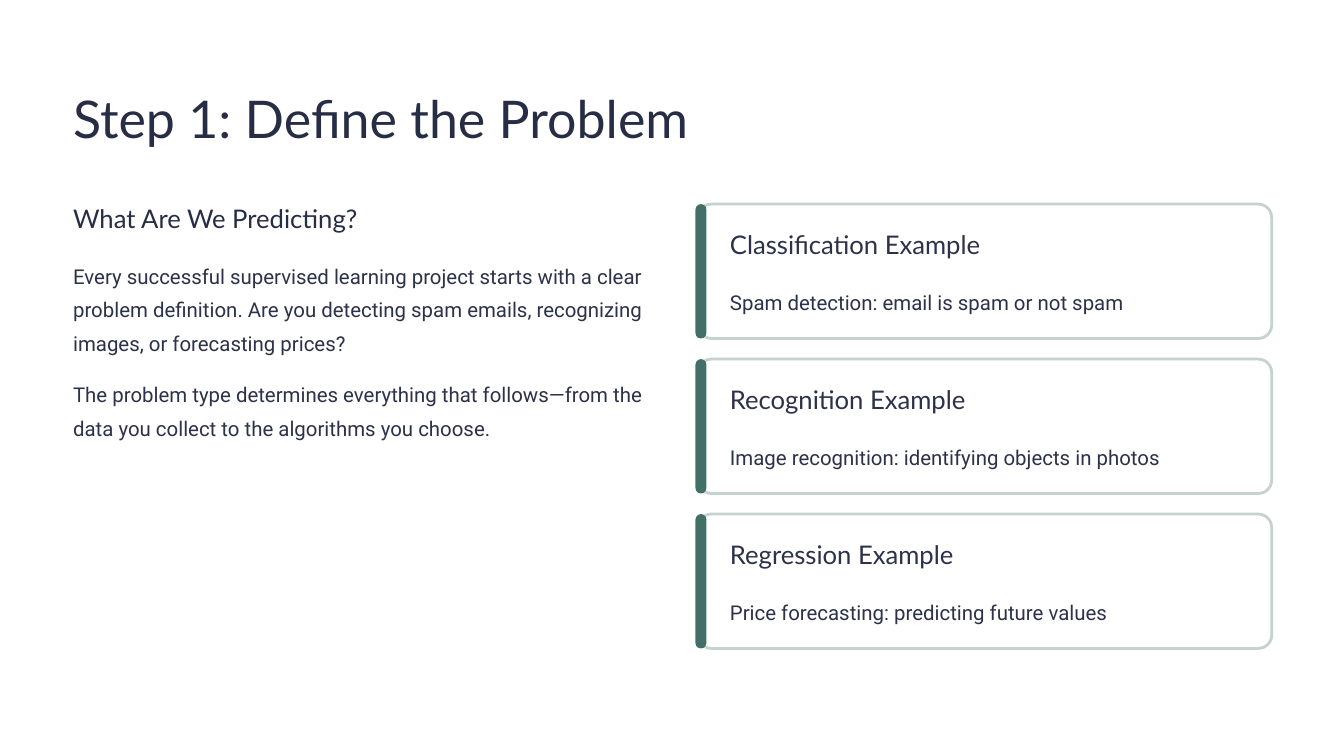
from dataclasses import dataclass

from lxml import etree
from pptx import Presentation
from pptx.dml.color import RGBColor
from pptx.enum.shapes import MSO_SHAPE
from pptx.enum.text import MSO_ANCHOR, MSO_AUTO_SIZE, PP_ALIGN
from pptx.oxml.ns import qn
from pptx.util import Inches, Pt

ROUNDED = MSO_SHAPE.ROUNDED_RECTANGLE
TOP, LEFT, NO_FIT = MSO_ANCHOR.TOP, PP_ALIGN.LEFT, MSO_AUTO_SIZE.NONE

TITLE = "Step 1: Define the Problem"
QUESTION = "What Are We Predicting?"
EXPLANATION = [
    "Every successful supervised learning project starts with a clear problem "
    "definition. Are you detecting spam emails, recognizing images, or "
    "forecasting prices?",
    "The problem type determines everything that follows—from the data you "
    "collect to the algorithms you choose.",
]
EXAMPLES = [
    ("Classification Example", "Spam detection: email is spam or not spam"),
    ("Recognition Example", "Image recognition: identifying objects in photos"),
    ("Regression Example", "Price forecasting: predicting future values"),
]


@dataclass(frozen=True)
class TextStyle:
    font: str
    size: float
    leading: float
    color: str


class Theme:
    title = TextStyle("Lato", 44.5, 55.5, "272D45")
    question = TextStyle("Lato", 22, 27.5, "272D45")
    card_heading = TextStyle("Lato", 22, 27.5, "2C3249")
    body = TextStyle("Roboto", 17.5, 28.5, "2C3249")
    paper = "FFFFFF"
    card_border = "C5D2CF"
    accent = "437066"
    border_width = 2.4
    paragraph_gap = 16


SLIDE_W, SLIDE_H = 16, 9
MARGIN = 0.87
TITLE_W = 8
COLUMN_W = 6.83
CARD_X, CARD_Y, CARD_H = 8.31, 2.43, 1.6
CARD_PITCH = CARD_H + 0.245
ACCENT_W, ACCENT_OVERHANG = 0.13, 0.03
CARD_PADDING = 0.38
HEADING_DROP, DETAIL_DROP = 0.28, 0.92


def place(shape, x, y, width, height):
    shape.left, shape.top = Inches(x), Inches(y)
    shape.width, shape.height = Inches(width), Inches(height)


def write(shape, paragraphs, style, wrap=False):
    frame = shape.text_frame
    frame.margin_left = frame.margin_right = 0
    frame.margin_top = frame.margin_bottom = 0
    frame.vertical_anchor, frame.auto_size = TOP, NO_FIT
    frame.word_wrap = wrap
    for index, text in enumerate(paragraphs):
        paragraph = frame.add_paragraph() if index else frame.paragraphs[0]
        paragraph.alignment = LEFT
        paragraph.line_spacing = Pt(style.leading)
        paragraph.space_before = Pt(Theme.paragraph_gap if index else 0)
        run = paragraph.add_run()
        run.text = text
        run.font.name, run.font.size = style.font, Pt(style.size)
        run.font.color.rgb = RGBColor.from_string(style.color)


def remove_bullets(shape):
    for paragraph in shape.text_frame.paragraphs:
        properties = paragraph._p.get_or_add_pPr()
        properties.set("marL", "0")
        properties.set("indent", "0")
        etree.SubElement(properties, qn("a:buNone"))


def add_label(slide, text, style, x, y, width, height):
    label = slide.shapes.add_textbox(
        Inches(x), Inches(y), Inches(width), Inches(height))
    write(label, [text], style)


def add_panel(slide, x, y, width, height, corner, fill, border=None):
    panel = slide.shapes.add_shape(
        ROUNDED, Inches(x), Inches(y), Inches(width), Inches(height))
    panel.adjustments[0] = corner
    panel.shadow.inherit = False
    panel.fill.solid()
    panel.fill.fore_color.rgb = RGBColor.from_string(fill)
    if border:
        panel.line.color.rgb = RGBColor.from_string(border)
        panel.line.width = Pt(Theme.border_width)
    else:
        panel.line.fill.background()


def add_card(slide, row, heading, detail):
    y = CARD_Y + row * CARD_PITCH
    text_x = CARD_X + CARD_PADDING
    add_panel(slide, CARD_X, y, COLUMN_W, CARD_H, 0.1,
              Theme.paper, Theme.card_border)
    add_panel(slide, CARD_X - ACCENT_OVERHANG, y, ACCENT_W, CARD_H, 0.5,
              Theme.accent)
    add_label(slide, heading, Theme.card_heading,
              text_x, y + HEADING_DROP, 3.1, 0.39)
    add_label(slide, detail, Theme.body, text_x, y + DETAIL_DROP, 6.17, 0.4)


def main():
    deck = Presentation()
    deck.slide_width, deck.slide_height = Inches(SLIDE_W), Inches(SLIDE_H)
    slide = deck.slides.add_slide(deck.slide_layouts.get_by_name("Title and Content"))
    slide.background.fill.solid()
    slide.background.fill.fore_color.rgb = RGBColor.from_string(Theme.paper)

    title, explanation = slide.placeholders
    place(title, MARGIN, 1.0, TITLE_W, 0.78)
    write(title, [TITLE], Theme.title, wrap=True)
    add_label(slide, QUESTION, Theme.question, MARGIN, 2.4, 3.35, 0.39)
    place(explanation, MARGIN, 3.04, COLUMN_W, 2.2)
    write(explanation, EXPLANATION, Theme.body, wrap=True)
    remove_bullets(explanation)

    for row, (heading, detail) in enumerate(EXAMPLES):
        add_card(slide, row, heading, detail)
    deck.save("out.pptx")


if __name__ == "__main__":
    main()
